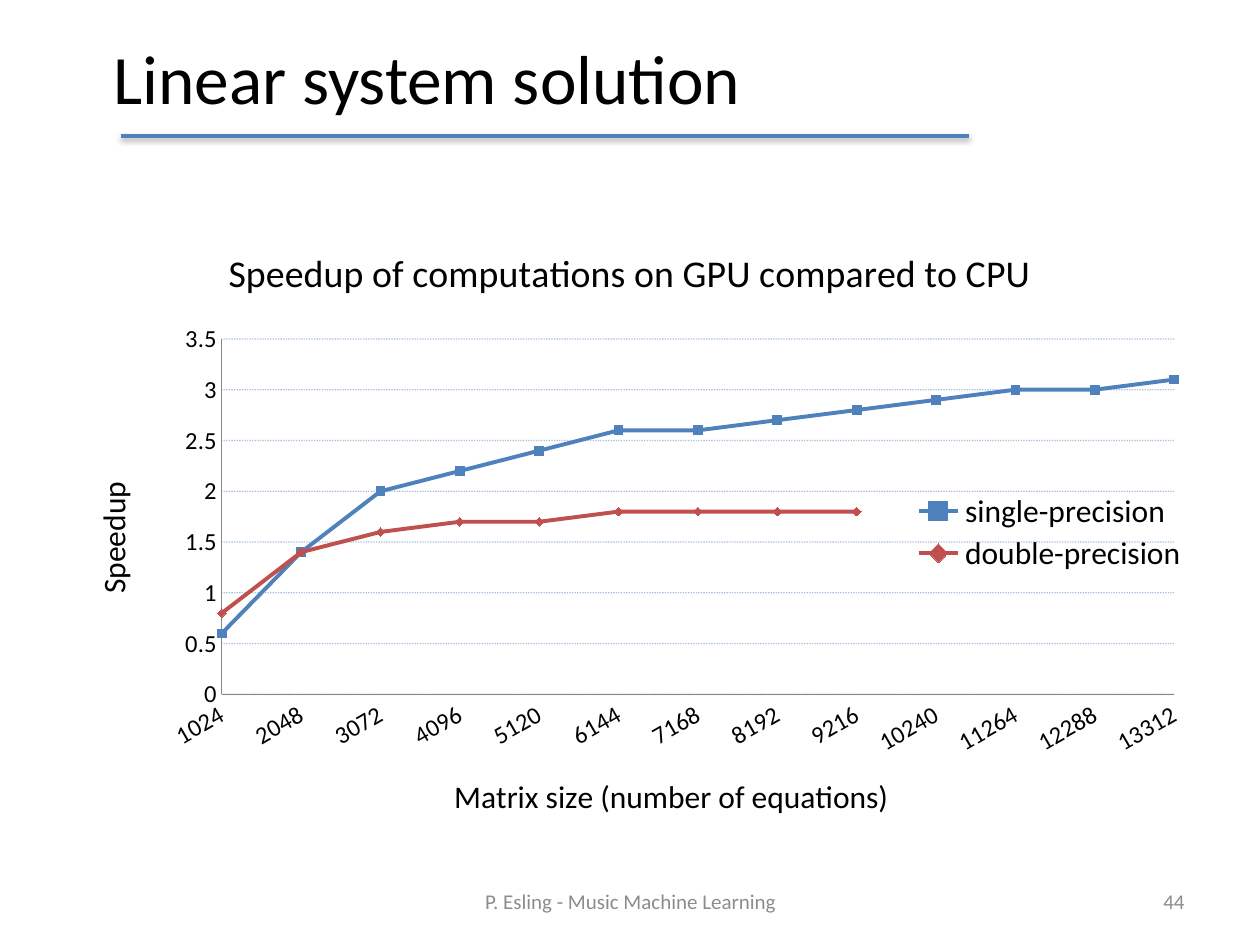
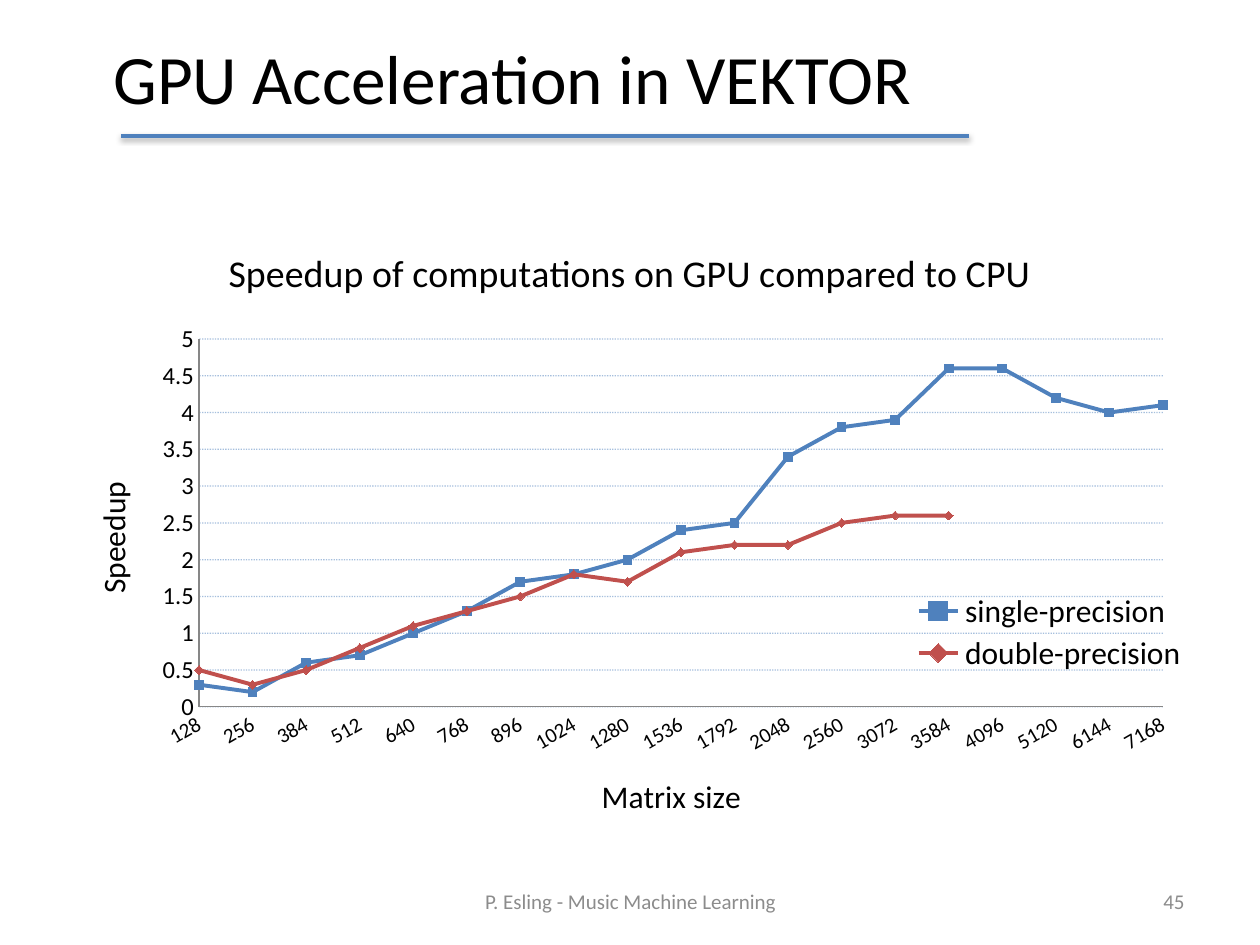
from dataclasses import dataclass

from lxml import etree
from pptx import Presentation
from pptx.chart.data import CategoryChartData
from pptx.dml.color import RGBColor
from pptx.enum.chart import XL_CHART_TYPE as ChartType
from pptx.enum.chart import XL_LEGEND_POSITION as LegendPosition
from pptx.enum.chart import XL_MARKER_STYLE as MarkerStyle
from pptx.enum.chart import XL_TICK_MARK as TickMark
from pptx.enum.dml import MSO_LINE as LineDash
from pptx.enum.shapes import MSO_CONNECTOR as Connector
from pptx.enum.text import MSO_ANCHOR as Anchor
from pptx.enum.text import MSO_AUTO_SIZE as AutoSize
from pptx.enum.text import PP_ALIGN as Align
from pptx.oxml.ns import qn
from pptx.util import Inches, Pt

BLACK = RGBColor(0x00, 0x00, 0x00)
BLUE = RGBColor(0x4F, 0x81, 0xBD)
RED = RGBColor(0xC0, 0x50, 0x4D)
FOOTER_GRAY = RGBColor(0x8C, 0x8C, 0x8C)
AXIS_GRAY = RGBColor(0x87, 0x87, 0x87)

FONT = "Calibri"
FOOTER_TEXT = "P. Esling - Music Machine Learning"
CHART_TITLE = "Speedup of computations on GPU compared to CPU"
TITLE_ONLY = 5

TITLE_BOX = (0.8, 0.25, 7.24, 0.72)
FOOTER_BOX = (3.42, 6.95, 3.17, 0.4)
NUMBER_BOX = (7.17, 6.95, 2.33, 0.4)
CHART_BOX = (0.5, 1.75, 9, 4.95)
RULE_LEFT, RULE_RIGHT, RULE_TOP = 0.96, 7.69, 1.08

SERIES_STYLES = (
    ("single-precision", BLUE, MarkerStyle.SQUARE),
    ("double-precision", RED, MarkerStyle.DIAMOND),
)


@dataclass
class SpeedupChart:
    """Data of one chart; places are shares of the chart's width and height."""
    sizes: list
    size_title: str
    single: list
    double: list
    maximum: float
    label_size: int
    plot_place: tuple
    legend_top: float
    size_title_left: float


LINEAR_SYSTEM = SpeedupChart(
    sizes=[1024 * step for step in range(1, 14)],
    size_title="Matrix size (number of equations)",
    single=[0.6, 1.4, 2, 2.2, 2.4, 2.6, 2.6, 2.7, 2.8, 2.9, 3, 3, 3.1],
    double=[0.8, 1.4, 1.6, 1.7, 1.7, 1.8, 1.8, 1.8, 1.8],
    maximum=3.5, label_size=14, plot_place=(0.14, 0.19, 0.84, 0.57),
    legend_top=0.43, size_title_left=0.34)

ACCELERATION = SpeedupChart(
    sizes=[128, 256, 384, 512, 640, 768, 896, 1024, 1280, 1536, 1792, 2048,
           2560, 3072, 3584, 4096, 5120, 6144, 7168],
    size_title="Matrix size",
    single=[0.3, 0.2, 0.6, 0.7, 1, 1.3, 1.7, 1.8, 2, 2.4, 2.5, 3.4,
            3.8, 3.9, 4.6, 4.6, 4.2, 4, 4.1],
    double=[0.5, 0.3, 0.5, 0.8, 1.1, 1.3, 1.5, 1.8, 1.7, 2.1, 2.2, 2.2,
            2.5, 2.6, 2.6],
    maximum=5, label_size=12, plot_place=(0.12, 0.19, 0.85, 0.59),
    legend_top=0.59, size_title_left=0.47)


def inches(box):
    return [Inches(length) for length in box]


def format_font(font, size, color=BLACK):
    font.name = FONT
    font.size = Pt(size)
    font.bold = False
    font.color.rgb = color


def write(text_frame, text, size, color, alignment):
    text_frame.word_wrap = True
    text_frame.auto_size = AutoSize.NONE
    text_frame.vertical_anchor = Anchor.MIDDLE
    paragraph = text_frame.paragraphs[0]
    paragraph.alignment = alignment
    run = paragraph.add_run()
    run.text = text
    format_font(run.font, size, color)


def add_title(slide, text):
    title = slide.shapes.title
    title.left, title.top, title.width, title.height = inches(TITLE_BOX)
    write(title.text_frame, text, 39.6, BLACK, Align.LEFT)


def add_footer(slide, box, text, alignment):
    shape = slide.shapes.add_textbox(*inches(box))
    write(shape.text_frame, text, 12, FOOTER_GRAY, alignment)


def add_title_rule(slide):
    rule = slide.shapes.add_connector(
        Connector.STRAIGHT,
        *inches((RULE_LEFT, RULE_TOP, RULE_RIGHT, RULE_TOP)))
    rule.line.color.rgb = BLUE
    rule.line.width = Pt(2)
    effects = etree.SubElement(rule._element.spPr, qn("a:effectLst"))
    shadow = etree.SubElement(
        effects, qn("a:outerShdw"), blurRad=str(Pt(3.1)), dist=str(Pt(1.6)),
        dir=str(90 * 60000), rotWithShape="0")
    color = etree.SubElement(shadow, qn("a:srgbClr"), val=str(BLACK))
    etree.SubElement(color, qn("a:alpha"), val="38000")


def place(element, position, after=None):
    """Give a chart part a fixed left and top, and a width and height if given."""
    for previous in element.findall(qn("c:layout")):
        element.remove(previous)
    layout = etree.Element(qn("c:layout"))
    manual = etree.SubElement(layout, qn("c:manualLayout"))
    if element.tag == qn("c:plotArea"):
        etree.SubElement(manual, qn("c:layoutTarget"), val="inner")
    for mode in ("xMode", "yMode"):
        etree.SubElement(manual, qn(f"c:{mode}"), val="edge")
    for name, share in zip("xywh", position):
        etree.SubElement(manual, qn(f"c:{name}"), val=str(share))
    if after is None:
        element.insert(0, layout)
    else:
        element.find(qn(after)).addnext(layout)


def title_part(part, text, size, position):
    """Write and place the title of a chart or of an axis."""
    paragraph = part.text_frame.paragraphs[0]
    run = paragraph.add_run()
    run.text = text
    format_font(run.font, size)
    place(part._element, position, after="c:tx")


def format_axis(axis, label_size):
    axis.major_tick_mark = TickMark.NONE
    axis.minor_tick_mark = TickMark.NONE
    axis.format.line.color.rgb = AXIS_GRAY
    axis.format.line.width = Pt(0.75)
    format_font(axis.tick_labels.font, label_size)


def format_size_axis(axis, content):
    format_axis(axis, content.label_size)
    axis.has_major_gridlines = False
    body = axis._element.find(qn("c:txPr")).find(qn("a:bodyPr"))
    body.set("rot", str(-30 * 60000))
    title_part(axis.axis_title, content.size_title, 18,
               (content.size_title_left, 0.88))


def format_speedup_axis(axis, maximum):
    format_axis(axis, 14)
    axis.minimum_scale = 0
    axis.maximum_scale = maximum
    axis.major_unit = 0.5
    axis.tick_labels.number_format = "General"
    axis.tick_labels.number_format_is_linked = False
    line = axis.major_gridlines.format.line
    line.color.rgb = BLUE
    line.width = Pt(0.75)
    line.dash_style = LineDash.ROUND_DOT
    gridlines = axis._element.find(qn("c:majorGridlines"))
    color = next(gridlines.iter(qn("a:srgbClr")))
    etree.SubElement(color, qn("a:alpha"), val="50000")
    for previous in axis._element.findall(qn("c:crossBetween")):
        axis._element.remove(previous)
    crossing = etree.Element(qn("c:crossBetween"), val="midCat")
    axis._element.find(qn("c:crosses")).addnext(crossing)
    title_part(axis.axis_title, "Speedup", 18, (0.02, 0.41))


def format_series(series, color, marker_style):
    series.smooth = False
    series.format.line.color.rgb = color
    series.format.line.width = Pt(2.25)
    marker = series.marker
    marker.style = marker_style
    marker.size = 5
    marker.format.fill.solid()
    marker.format.fill.fore_color.rgb = color
    marker.format.line.color.rgb = color


def add_speedup_chart(slide, content):
    data = CategoryChartData()
    data.categories = content.sizes
    for (name, _, _), values in zip(SERIES_STYLES, (content.single, content.double)):
        missing = [None] * (len(content.sizes) - len(values))
        data.add_series(name, values + missing)
    chart = slide.shapes.add_chart(
        ChartType.LINE_MARKERS, *inches(CHART_BOX), data).chart
    format_font(chart.font, 18)
    title_part(chart.chart_title, CHART_TITLE, 21.6, (0.14, 0.03))

    plot = chart.plots[0]
    plot.vary_by_categories = False
    for series, (_, color, marker_style) in zip(plot.series, SERIES_STYLES):
        format_series(series, color, marker_style)
    format_size_axis(chart.category_axis, content)
    format_speedup_axis(chart.value_axis, content.maximum)
    place(chart._chartSpace.chart.plotArea, content.plot_place)

    chart.has_legend = True
    chart.legend.position = LegendPosition.RIGHT
    chart.legend.include_in_layout = True
    format_font(chart.legend.font, 18)
    place(chart.legend._element, (0.75, content.legend_top, 0.24, 0.14),
          after="c:legendPos")


def add_chart_slide(presentation, number, title, content):
    slide = presentation.slides.add_slide(presentation.slide_layouts[TITLE_ONLY])
    add_title(slide, title)
    add_footer(slide, FOOTER_BOX, FOOTER_TEXT, Align.CENTER)
    add_footer(slide, NUMBER_BOX, str(number), Align.RIGHT)
    add_title_rule(slide)
    add_speedup_chart(slide, content)


def main():
    presentation = Presentation()
    presentation.slide_width = Inches(10)
    presentation.slide_height = Inches(7.5)
    add_chart_slide(presentation, 44, "Linear system solution", LINEAR_SYSTEM)
    add_chart_slide(presentation, 45, "GPU Acceleration in VEKTOR", ACCELERATION)
    presentation.save("out.pptx")


if __name__ == "__main__":
    main()
